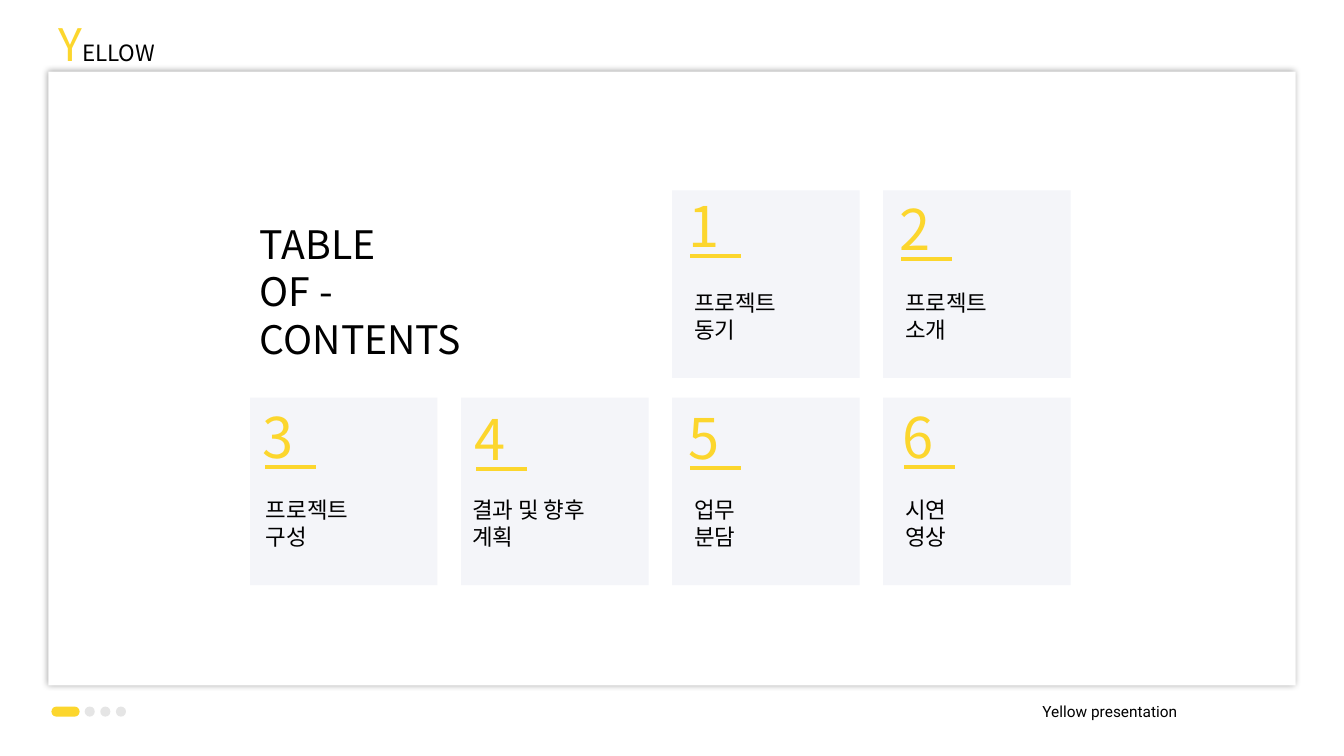
from lxml import etree
from pptx import Presentation
from pptx import util as u
from pptx.dml.color import RGBColor
from pptx.enum import shapes, text
from pptx.oxml.ns import qn

YELLOW, BLACK, WHITE = "FCD62D", "000000", "FFFFFF"
CARD_FILL, DOT_FILL = "F4F5F9", "E5E5E5"
KOREAN, LATIN = "Noto Sans CJK KR", "Roboto"


def colour(value):
    return RGBColor.from_string(value)


class Deck:
    """Style and current slide; lengths are cells of a 160 by 90 grid."""

    def __init__(self):
        self.presentation = Presentation()
        self.presentation.slide_width = u.Inches(13.33)
        self.presentation.slide_height = u.Inches(7.5)
        self.slide = self.presentation.slides.add_slide(self.presentation.slide_layouts[6])

    def cells(self, *values):
        return [u.Inches(value / 12) for value in values]

    def shape(self, kind, fill, *place):
        shape = self.slide.shapes.add_shape(kind, *self.cells(*place))
        shape.shadow.inherit = False
        shape.fill.solid()
        shape.fill.fore_color.rgb = colour(fill)
        shape.line.fill.background()
        return shape

    def glow(self, shape, blur, opacity):
        effects = shape._element.spPr.find(qn("a:effectLst"))
        shadow = etree.SubElement(effects, qn("a:outerShdw"), blurRad=str(u.Pt(blur)),
                                  dist="0", dir="0", algn="ctr", rotWithShape="0")
        tint = etree.SubElement(shadow, qn("a:srgbClr"), val=BLACK)
        etree.SubElement(tint, qn("a:alpha"), val=str(opacity * 1000))

    def text(self, lines, *place, spacing=None):
        """Each line is a list of (wording, size, colour, font) runs."""
        frame = self.slide.shapes.add_textbox(*self.cells(*place)).text_frame
        frame.word_wrap = True
        frame.auto_size = text.MSO_AUTO_SIZE.SHAPE_TO_FIT_TEXT
        for index, runs in enumerate(lines):
            paragraph = frame.add_paragraph() if index else frame.paragraphs[0]
            if spacing:
                paragraph.line_spacing = spacing
            for wording, size, shade, font in runs:
                run = paragraph.add_run()
                run.text = wording
                run.font.color.rgb = colour(shade)
                for name, value in {"size": u.Pt(size), "name": font}.items():
                    setattr(run.font, name, value)
                etree.SubElement(run.font._element, qn("a:ea"), typeface=font)

    def rule(self, left, top, length):
        ends = self.cells(left, top, left + length, top)
        line = self.slide.shapes.add_connector(shapes.MSO_CONNECTOR.STRAIGHT, *ends)
        line.line.color.rgb = colour(YELLOW)
        line.line.width = u.Pt(3)
        etree.SubElement(line._element.spPr, qn("a:effectLst"))


def main():
    deck = Deck()
    preset = shapes.MSO_SHAPE

    # Framed page
    page = deck.shape(preset.RECTANGLE, WHITE, 5.76, 8.52, 148.44, 73.08)
    deck.glow(page, blur=5, opacity=37)

    # Header and footer
    deck.text([[("Y", 32, YELLOW, KOREAN), ("ELLOW", 16, BLACK, KOREAN)]],
              5.76, 1.44, 15.36, 7.68)
    deck.text([[("Yellow presentation", 11, BLACK, LATIN)]], 122.88, 83.04, 31.44, 3.48)
    pill = deck.shape(preset.ROUNDED_RECTANGLE, YELLOW, 6.12, 84.12, 3.36, 1.2)
    pill.adjustments[0] = 0.5
    for dot in range(3):
        deck.shape(preset.OVAL, DOT_FILL, 10.08 + 1.86 * dot, 84.12, 1.2, 1.2)

    # Title
    deck.text([[(word, 28, BLACK, KOREAN)] for word in ("TABLE", "OF -", "CONTENTS")],
              29.76, 25.68, 30.24, 18.12)

    # Cards: column, row, number offset, label, label offset and width
    cards = [
        (2, 0, 0.72, -0.48, "프로젝트 동기", 1.44, 17),
        (3, 0, 0.72, -0.12, "프로젝트 소개", 1.44, 17),
        (0, 1, 0.36, 0, "프로젝트 구성", 0.72, 17),
        (1, 1, 0.36, 0.24, "결과 및 향후 계획", 0.12, 20.5),
        (2, 1, 0.72, 0.12, "업무 분담", 1.44, 12),
        (3, 1, 1.08, 0, "시연 영상", 1.44, 12),
    ]
    for number, (column, row, across, down, label, indent, width) in enumerate(cards, 1):
        left, top = 29.76 + 25.12 * column, 22.68 + 24.66 * row
        deck.shape(preset.RECTANGLE, CARD_FILL, left, top, 22.32, 22.32)
        deck.text([[(str(number), 40, YELLOW, KOREAN)]], left + across, top + down, 6.24, 9.24)
        deck.rule(left + across + 1.44, top + down + 8.3, 6)
        deck.text([[(label, 16, BLACK, KOREAN)]], left + indent, top + 11.16, width, 4.44)

    deck.presentation.save("out.pptx")


if __name__ == "__main__":
    main()
